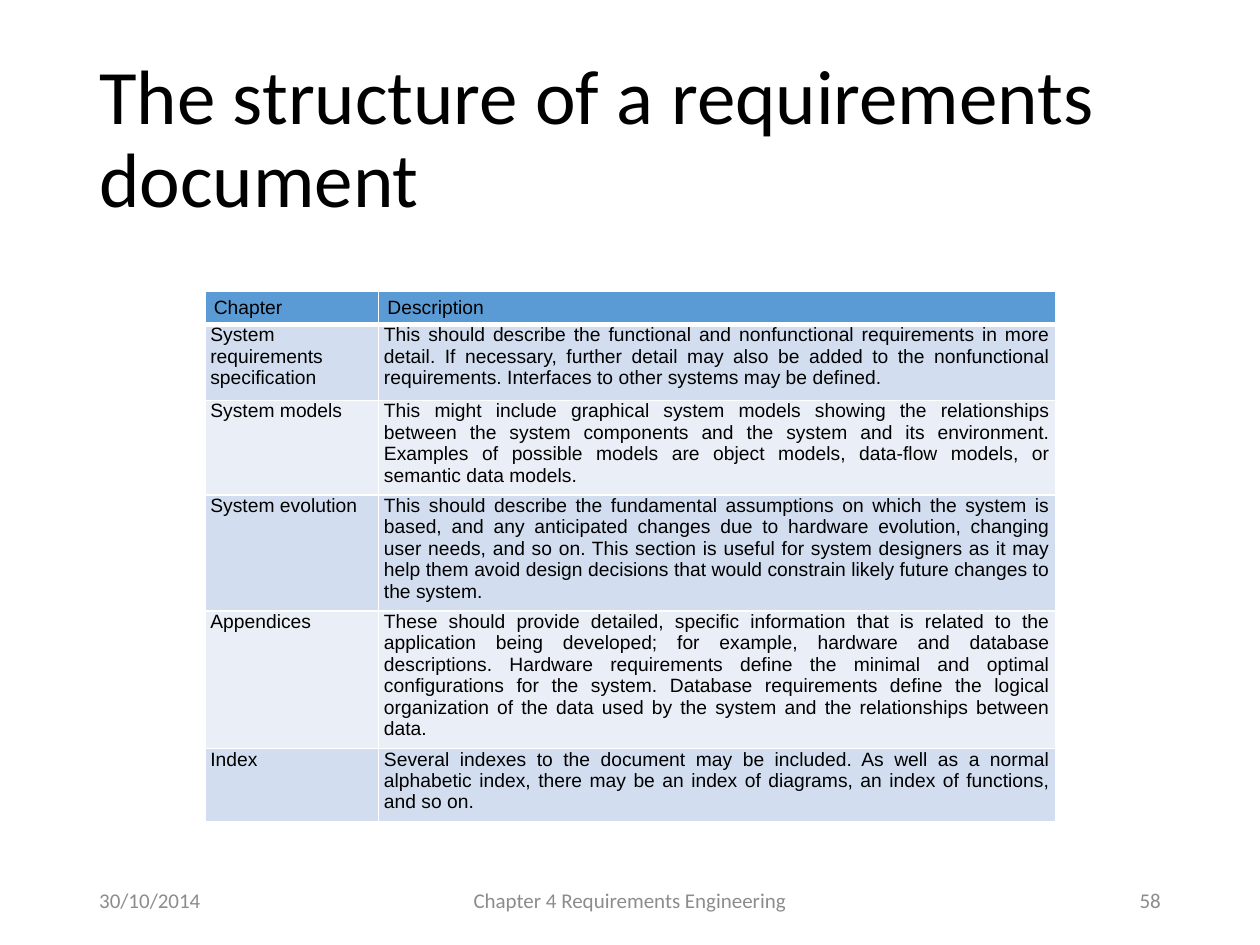
import pptx
import pptx.util
import pptx.dml.color
import pptx.enum.text
import pptx.oxml.ns
import lxml.etree

Cm = pptx.util.Cm
Pt = pptx.util.Pt
ALIGN = pptx.enum.text.PP_ALIGN
MIDDLE = pptx.enum.text.MSO_ANCHOR.MIDDLE

COLOURS = {
    "ink": "000000",
    "footer": "8C8C8C",
    "border": "FFFFFF",
    "header": "5B9BD5",
    "band_dark": "D2DEEF",
    "band_light": "EAEFF7",
}
COLUMN_WIDTHS = [3.5, 13.65]
ROW_HEIGHTS = [0.66, 1.53, 1.7, 2.08, 2.46, 1.32]
CHAPTERS = [
    ("Chapter", "Description"),
    ("System requirements specification",
     "This should describe the functional and nonfunctional requirements in more detail. "
     "If necessary, further detail may also be added to the nonfunctional requirements. "
     "Interfaces to other systems may be defined."),
    ("System models",
     "This might include graphical system models showing the relationships between the "
     "system components and the system and its environment. Examples of possible models "
     "are object models, data-flow models, or semantic data models."),
    ("System evolution",
     "This should describe the fundamental assumptions on which the system is based, and "
     "any anticipated changes due to hardware evolution, changing user needs, and so on. "
     "This section is useful for system designers as it may help them avoid design "
     "decisions that would constrain likely future changes to the system."),
    ("Appendices",
     "These should provide detailed, specific information that is related to the "
     "application being developed; for example, hardware and database descriptions. "
     "Hardware requirements define the minimal and optimal configurations for the system. "
     "Database requirements define the logical organization of the data used by the system "
     "and the relationships between data."),
    ("Index",
     "Several indexes to the document may be included. As well as a normal alphabetic "
     "index, there may be an index of diagrams, an index of functions, and so on."),
]
FOOTERS = [
    ("30/10/2014", 1.75, 5.72, ALIGN.LEFT),
    ("Chapter 4 Requirements Engineering", 8.41, 8.58, ALIGN.CENTER),
    ("58", 17.93, 5.72, ALIGN.RIGHT),
]


def rgb(name):
    """Return the named colour."""
    return pptx.dml.color.RGBColor.from_string(COLOURS[name])


def write(para, text, font, size, colour, align):
    """Add one formatted run to a paragraph."""
    para.alignment = align
    span = para.add_run()
    span.text = text
    span.font.name = font
    span.font.size = Pt(size)
    span.font.bold = False
    span.font.color.rgb = rgb(colour)


def add_title(page, text):
    """Place and fill the title placeholder."""
    box = page.shapes.title
    box.left, box.top, box.width, box.height = Cm(1.75), Cm(1.01), Cm(21.9), Cm(3.68)
    frame = box.text_frame
    frame.word_wrap = True
    frame.auto_size = pptx.enum.text.MSO_AUTO_SIZE.NONE
    frame.vertical_anchor = MIDDLE
    para = frame.paragraphs[0]
    para.line_spacing = 0.9
    write(para, text, "Calibri", 44, "ink", ALIGN.LEFT)


def add_footer(page, text, left, width, align):
    """Add one text box in the footer line."""
    box = page.shapes.add_textbox(Cm(left), Cm(17.65), Cm(width), Cm(1.01))
    frame = box.text_frame
    frame.word_wrap = True
    frame.vertical_anchor = MIDDLE
    write(frame.paragraphs[0], text, "Calibri", 12, "footer", align)


def set_borders(cell, bottom):
    """Draw the four cell borders, the bottom one with its own width."""
    props = cell._tc.get_or_add_tcPr()
    qn = pptx.oxml.ns.qn
    for index, (side, width) in enumerate([("L", 1), ("R", 1), ("T", 1), ("B", bottom)]):
        line = lxml.etree.Element(qn("a:ln" + side), w=str(Pt(width)))
        fill = lxml.etree.SubElement(line, qn("a:solidFill"))
        lxml.etree.SubElement(fill, qn("a:srgbClr"), val=COLOURS["border"])
        props.insert(index, line)


def fill_cell(cell, text, is_header, fill):
    """Format and fill one table cell."""
    margins = (0.18, 0.1, 0.18, 0.1) if is_header else (0.11, 0, 0.11, 0.18)
    cell.margin_left, cell.margin_top, cell.margin_right, cell.margin_bottom = map(Cm, margins)
    cell.fill.solid()
    cell.fill.fore_color.rgb = rgb(fill)
    set_borders(cell, 3 if is_header else 1)
    align = ALIGN.LEFT if is_header else ALIGN.JUSTIFY
    write(cell.text_frame.paragraphs[0], text, "Arial", 11, "ink", align)


def add_chapter_table(page):
    """Add the banded table of chapters."""
    frame = page.shapes.add_table(
        len(CHAPTERS), len(COLUMN_WIDTHS), Cm(4.13), Cm(5.88),
        Cm(sum(COLUMN_WIDTHS)), Cm(sum(ROW_HEIGHTS)))
    table = frame.table
    for column, width in zip(table.columns, COLUMN_WIDTHS):
        column.width = Cm(width)
    for index, (row, height, texts) in enumerate(zip(table.rows, ROW_HEIGHTS, CHAPTERS)):
        row.height = Cm(height)
        band = "band_dark" if index % 2 else "band_light"
        for cell, text in zip(row.cells, texts):
            fill_cell(cell, text, index == 0, band if index else "header")


def main():
    """Build the slide and save it."""
    deck = pptx.Presentation()
    deck.slide_width, deck.slide_height = Cm(25.4), Cm(19.05)
    page = deck.slides.add_slide(deck.slide_layouts.get_by_name("Title Only"))
    add_title(page, "The structure of a requirements document")
    add_chapter_table(page)
    for footer in FOOTERS:
        add_footer(page, *footer)
    deck.save("out.pptx")


main()
